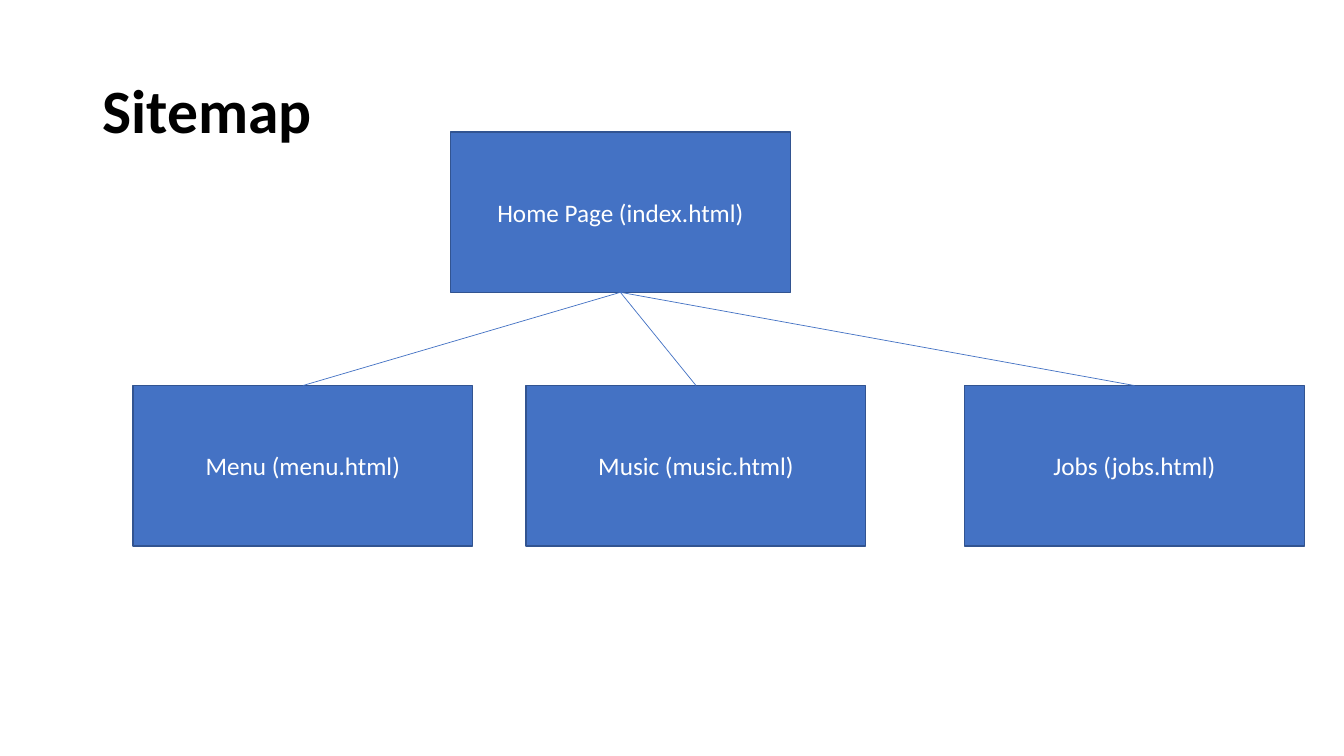
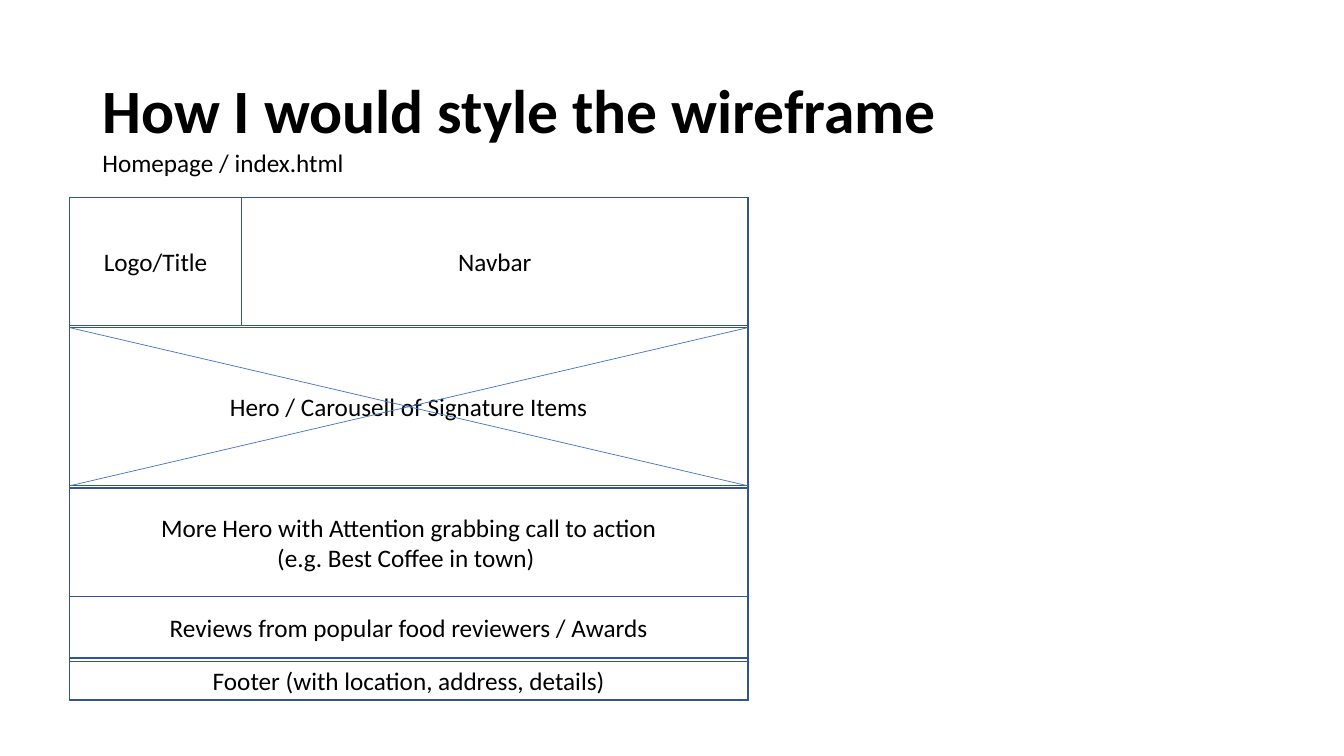
import lxml.etree
import pptx
import pptx.dml.color
import pptx.enum.shapes
import pptx.enum.text
import pptx.oxml.ns
import pptx.util

COLS, ROWS = 160, 90
BLUE, EDGE, WHITE, BLACK = "4472C4", "325491", "FFFFFF", "000000"
ALIGN = pptx.enum.text.PP_ALIGN
MIDDLE = pptx.enum.text.MSO_ANCHOR.MIDDLE


def tint(code):
    return pptx.dml.color.RGBColor.from_string(code)


def write(frame, text, size=18, bold=False, color=BLACK, align=ALIGN.LEFT, space=1.0):
    para = frame.paragraphs[0]
    para.text = text
    para.alignment = align
    para.line_spacing = space
    for run in para.runs:
        font = run.font
        font.name, font.size, font.bold = "Calibri", pptx.util.Pt(size), bold
        font.color.rgb = tint(color)


class Deck:
    """Holds the shared style and the current slide, measured in grid columns and rows."""

    def __init__(self):
        self.file = pptx.Presentation()
        self.file.slide_width = pptx.util.Inches(13.33)
        self.file.slide_height = pptx.util.Inches(7.5)
        self.slide = None

    def place(self, *cells):
        units = self.file.slide_width / COLS, self.file.slide_height / ROWS
        return [round(cell * units[i % 2]) for i, cell in enumerate(cells)]

    def page(self, title):
        self.slide = self.file.slides.add_slide(self.file.slide_layouts[6])
        frame = self.slide.shapes.add_textbox(*self.place(11, 4.8, 138, 17.4)).text_frame
        frame.word_wrap = True
        frame.vertical_anchor = MIDDLE
        write(frame, title, size=44, bold=True, space=0.9)

    def label(self, text, *cells):
        frame = self.slide.shapes.add_textbox(*self.place(*cells)).text_frame
        frame.word_wrap = False
        frame.auto_size = pptx.enum.text.MSO_AUTO_SIZE.SHAPE_TO_FIT_TEXT
        write(frame, text)

    def box(self, text, *cells, fill=WHITE, color=BLACK):
        kind = pptx.enum.shapes.MSO_SHAPE.RECTANGLE
        shape = self.slide.shapes.add_shape(kind, *self.place(*cells))
        shape.shadow.inherit = False
        shape.fill.solid()
        shape.fill.fore_color.rgb = tint(fill)
        shape.line.color.rgb = tint(EDGE)
        shape.line.width = pptx.util.Pt(1)
        if text:
            shape.text_frame.word_wrap = True
            shape.text_frame.vertical_anchor = MIDDLE
            write(shape.text_frame, text, color=color, align=ALIGN.CENTER)
        return shape

    def line(self, *cells):
        kind = pptx.enum.shapes.MSO_CONNECTOR.STRAIGHT
        line = self.slide.shapes.add_connector(kind, *self.place(*cells))
        line.line.color.rgb = tint(BLUE)
        line.line.width = pptx.util.Pt(0.5)
        props = line._element.spPr
        lxml.etree.SubElement(props, pptx.oxml.ns.qn("a:effectLst"))
        return line

    def link(self, parent, child):
        line = self.line(0, 0, 1, 1)
        line.begin_connect(parent, 2)
        line.end_connect(child, 0)


def sitemap(deck):
    deck.page("Sitemap")
    size, style = (40.44, 19.08), {"fill": BLUE, "color": WHITE}
    home = deck.box("Home Page (index.html)", 53.64, 15.72, *size, **style)
    leaves = [
        ("Menu (menu.html)", 15.84),
        ("Music (music.html)", 62.64),
        ("Jobs (jobs.html)", 114.84),
    ]
    pages = [deck.box(text, left, 45.9, *size, **style) for text, left in leaves]
    for page in pages:
        deck.link(home, page)


def wireframe(deck):
    deck.page("How I would style the wireframe")
    left, top, wide, tall = 8.28, 23.52, 80.76, 59.88
    logo, head = 20.5, 15.24
    deck.box("", left, top, wide, tall)
    deck.box("Logo/Title", left, top, logo, head)
    deck.box("Navbar", left + logo, top, wide - logo, head)
    hero, deep = 39, 18.84
    bands = [
        ("Hero / Carousell of Signature Items", hero, deep),
        ("More Hero with Attention grabbing call to action\n(e.g. Best Coffee in town) ", 58.08, 12.96),
        ("Reviews from popular food reviewers / Awards", 71.04, 7.32),
        ("Footer (with location, address, details)", 78.72, 4.56),
    ]
    for text, row, height in bands:
        deck.box(text, left, row, wide, height)
    deck.label("Homepage / index.html", 11, 16.92, 31.56, 4.8)
    for start, end in [(hero, hero + deep), (hero + deep, hero)]:
        deck.line(left, start, left + wide, end)


def main():
    deck = Deck()
    sitemap(deck)
    wireframe(deck)
    deck.file.save("out.pptx")


if __name__ == "__main__":
    main()
